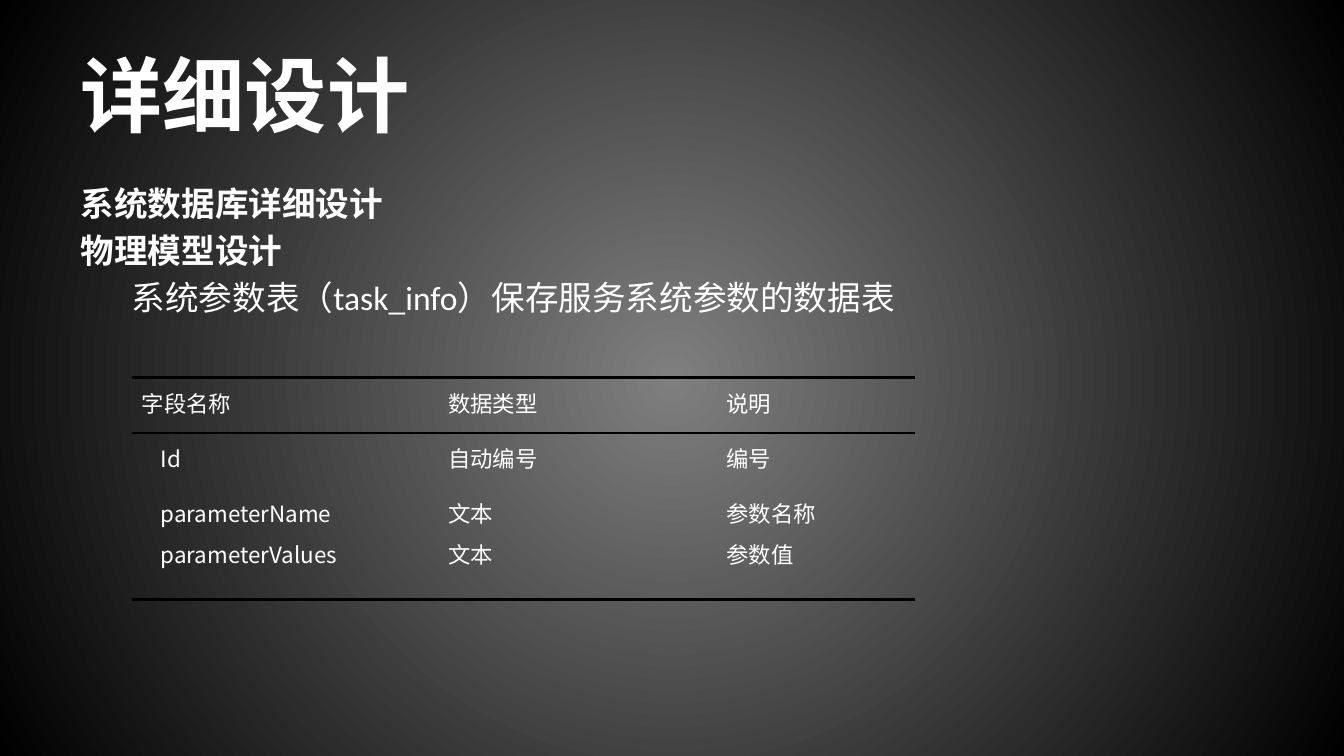
"""Build the detailed design slide with the system parameter table."""
from pptx import Presentation
from pptx import util as u
from pptx.dml.color import RGBColor
from pptx.enum import text
from pptx.oxml import parse_xml
from pptx.oxml.ns import nsdecls, qn
from lxml import etree

COLORS = {"text": "FFFFFF", "rule": "000000", "center": "7F7F7F", "edge": "000000"}
NO_STYLE = "{2D5ABB26-0587-4C30-8999-92F81FD0307C}"


def write(paragraph, content, font="Calibri", asian_font="Calibri", size=18, bold=False,
          margin=0, indent=0, align=text.PP_ALIGN.LEFT, line=None, before=0):
    run = paragraph.add_run()
    run.text = content
    run.font.name = font
    run.font.size = u.Pt(size)
    run.font.bold = bold
    run.font.color.rgb = RGBColor.from_string(COLORS["text"])
    etree.SubElement(run.font._element, qn("a:ea")).set("typeface", asian_font)
    paragraph.alignment = align
    paragraph.space_before = u.Pt(before)
    if line:
        paragraph.line_spacing = u.Pt(line)
    properties = paragraph._p.get_or_add_pPr()
    properties.set("marL", str(u.Inches(margin)))
    properties.set("indent", str(u.Inches(indent)))
    etree.SubElement(properties, qn("a:buNone"))


def add_border(cell, side, width):
    color = f'<a:solidFill><a:srgbClr val="{COLORS["rule"]}"/></a:solidFill>'
    border = parse_xml(f'<a:{side} {nsdecls("a")} w="{u.Pt(width)}">'
                       f'{color if width else "<a:noFill/>"}</a:{side}>')
    properties = cell._tc.get_or_add_tcPr()
    properties.insert(len(properties) - 1, border)


presentation = Presentation()
presentation.slide_width = u.Inches(10)
presentation.slide_height = u.Inches(10 * 9 / 16)
slide = presentation.slides.add_slide(presentation.slide_layouts[1])

slide._element.cSld.insert(0, parse_xml(
    f'<p:bg {nsdecls("p", "a")}><p:bgPr><a:gradFill><a:gsLst>'
    f'<a:gs pos="0"><a:srgbClr val="{COLORS["center"]}"/></a:gs>'
    f'<a:gs pos="100000"><a:srgbClr val="{COLORS["edge"]}"/></a:gs></a:gsLst>'
    '<a:path path="circle"><a:fillToRect l="50000" t="50000" r="50000" b="50000"/></a:path>'
    '</a:gradFill><a:effectLst/></p:bgPr></p:bg>'))

title, body = slide.placeholders
for placeholder, top, height in ((title, 0.23, 0.94), (body, 1.31, 3.71)):
    placeholder.left, placeholder.width = u.Inches(0.5), u.Inches(9)
    placeholder.top, placeholder.height = u.Inches(top), u.Inches(height)
    placeholder.text_frame.auto_size = text.MSO_AUTO_SIZE.NONE

title.text_frame.vertical_anchor = text.MSO_ANCHOR.MIDDLE
write(title.text_frame.paragraphs[0], "详细设计", size=44, bold=True)

body_lines = [
    ("系统数据库详细设计", True, -0.38),
    ("物理模型设计", True, -0.38),
    ("系统参数表（task_info）保存服务系统参数的数据表", False, 0),
]
for index, (content, bold, indent) in enumerate(body_lines):
    paragraph = body.text_frame.add_paragraph() if index else body.text_frame.paragraphs[0]
    write(paragraph, content, bold=bold, margin=0.38, indent=indent, before=3.6)

rows = [
    [["字段名称"], ["数据类型"], ["说明"]],
    [["Id"], ["自动编号"], ["编号"]],
    [["parameterName", "parameterValues"], ["文本", "文本"], ["参数名称", "参数值"]],
]
row_heights = [0.41, 0.41, 0.83]
column_widths = [1.95, 2.07, 1.81]
rule_widths = [1.5, 1, 0, 1.5]

frame = slide.shapes.add_table(3, 3, u.Inches(0.98), u.Inches(2.81),
                               u.Inches(sum(column_widths)), u.Inches(sum(row_heights)))
table = frame.table
table.first_row = table.horz_banding = False
table._tbl.tblPr.find(qn("a:tableStyleId")).text = NO_STYLE
for column, width in zip(table.columns, column_widths):
    column.width = u.Inches(width)

for row_index, (row, height) in enumerate(zip(rows, row_heights)):
    table.rows[row_index].height = u.Inches(height)
    for column_index, lines in enumerate(row):
        cell = table.cell(row_index, column_index)
        cell.margin_left = cell.margin_right = u.Pt(5.4)
        cell.margin_top = cell.margin_bottom = 0
        cell.fill.background()
        add_border(cell, "lnT", rule_widths[row_index])
        add_border(cell, "lnB", rule_widths[row_index + 1])
        is_field = column_index == 0 and row_index > 0
        first_indent = 0.14 if is_field else 0.33 if column_index else 0
        for index, content in enumerate(lines):
            paragraph = cell.text_frame.add_paragraph() if index else cell.text_frame.paragraphs[0]
            write(paragraph, content, size=12, indent=first_indent, line=22,
                  font="Noto Sans CJK SC" if is_field else "Times New Roman",
                  asian_font="Noto Sans CJK SC", align=text.PP_ALIGN.JUSTIFY)

presentation.save("out.pptx")
